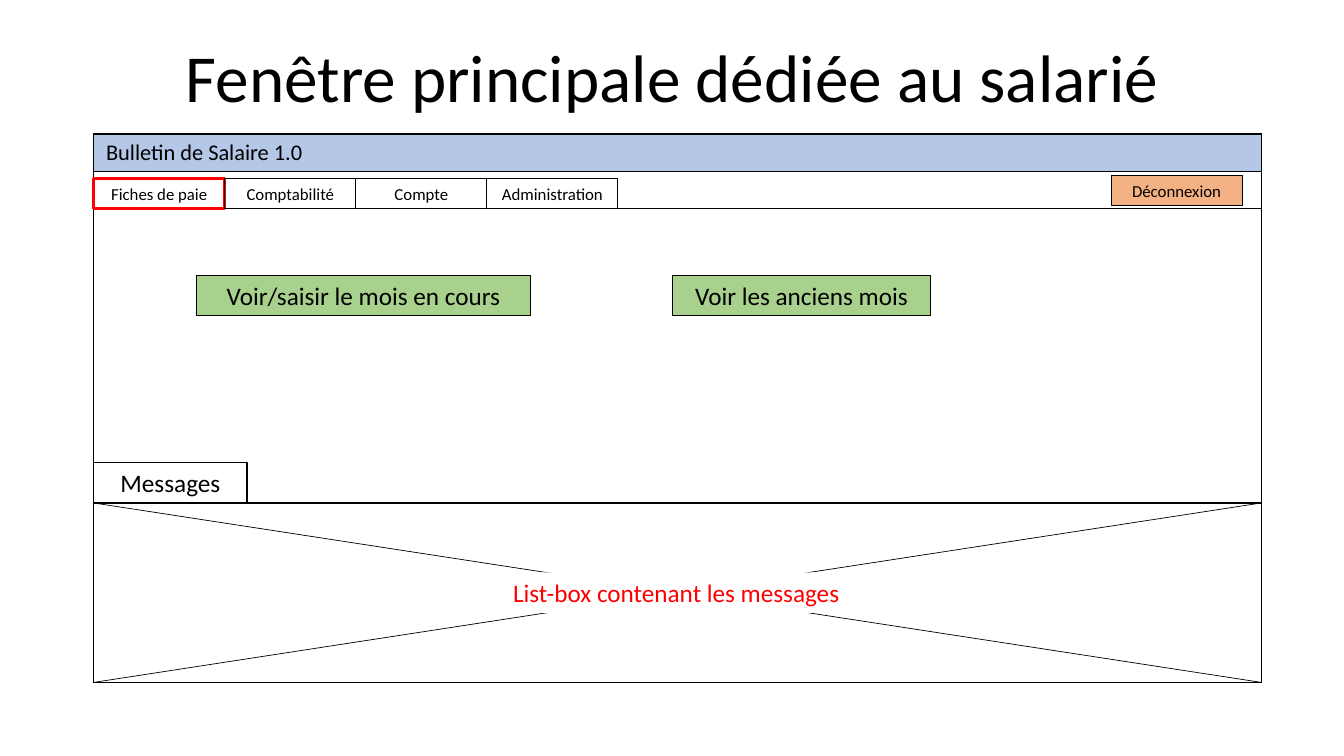
from dataclasses import dataclass
from typing import Optional

from lxml.etree import SubElement
from pptx import Presentation
from pptx.dml.color import RGBColor as Rgb
from pptx.enum.shapes import MSO_CONNECTOR as Link, MSO_SHAPE as Kind
from pptx.enum.text import MSO_ANCHOR as Anchor, MSO_AUTO_SIZE as Fit, PP_ALIGN as Align
from pptx.oxml.ns import qn
from pptx.util import Inches, Pt

COL = ROW = Inches(0.1)
LEFT, WIDTH = 9.3, 115.8
TOP, BASE = 13.3, 67.7
BODY, LIST = 20.7, 49.9
TAB, SMALL, TALL = 13, 3, 4
BLACK, RED, WHITE = "000000", "FF0000", "FFFFFF"
BLUE, ORANGE, GREEN = "B4C7E7", "F4B183", "A9D18E"


@dataclass
class Box:
    x: float
    y: float
    w: float
    h: float
    text: str = ""
    size: float = 18
    fill: Optional[str] = None
    line: Optional[str] = BLACK
    thick: float = 0.75
    ink: str = BLACK
    align: Align = Align.CENTER


@dataclass
class Label:
    x: float
    y: float
    w: float
    h: float
    text: str
    size: float


def tint(code: str) -> Rgb:
    return Rgb.from_string(code)


def area(item) -> tuple:
    return (round(item.x * COL), round(item.y * ROW),
            round(item.w * COL), round(item.h * ROW))


def write(frame, text: str, size: float, ink: str, align: Align):
    frame.word_wrap = True
    frame.text = text
    para = frame.paragraphs[0]
    para.alignment = align
    for run in para.runs:
        run.font.name = "Calibri"
        run.font.size = Pt(size)
        run.font.color.rgb = tint(ink)
    return para


def draw_box(slide, box: Box) -> None:
    shape = slide.shapes.add_shape(Kind.RECTANGLE, *area(box))
    shape.shadow.inherit = False
    if box.fill:
        shape.fill.solid()
        shape.fill.fore_color.rgb = tint(box.fill)
    else:
        shape.fill.background()
    if box.line:
        shape.line.color.rgb = tint(box.line)
        shape.line.width = Pt(box.thick)
    else:
        shape.line.fill.background()
    if box.text:
        frame = shape.text_frame
        write(frame, box.text, box.size, box.ink, box.align)
        frame.vertical_anchor = Anchor.TOP
        frame.auto_size = Fit.SHAPE_TO_FIT_TEXT


def draw_label(slide, label: Label) -> None:
    frame = slide.shapes.add_textbox(*area(label)).text_frame
    para = write(frame, label.text, label.size, BLACK, Align.CENTER)
    para.line_spacing = 0.8
    frame.vertical_anchor = Anchor.BOTTOM


def draw_cross(slide, x: float, y: float, w: float, h: float) -> None:
    for start, end in ((x, x + w), (x + w, x)):
        line = slide.shapes.add_connector(
            Link.STRAIGHT, round(start * COL), round(y * ROW),
            round(end * COL), round((y + h) * ROW))
        line.line.color.rgb = tint(BLACK)
        line.line.width = Pt(0.5)
        SubElement(line._element.spPr, qn("a:effectLst"))


def pane(top: float) -> Box:
    return Box(LEFT, top, WIDTH, BASE - top, thick=1)


def main() -> None:
    deck = Presentation()
    deck.slide_width, deck.slide_height = Inches(13.33), Inches(7.5)
    slide = deck.slides.add_slide(deck.slide_layouts[6])

    draw_box(slide, pane(TOP))
    draw_label(slide, Label(9.2, 4, 115, 7.9, "Fenêtre principale dédiée au salarié", 48))
    draw_box(slide, Box(LEFT, TOP, WIDTH, 3.7, fill=BLUE, thick=1))
    draw_box(slide, Box(110.2, 17.4, TAB, SMALL, "Déconnexion", 12, ORANGE))
    draw_label(slide, Label(LEFT, 13.5, 21.9, 3.3, "Bulletin de Salaire 1.0", 16))

    draw_box(slide, pane(BODY))
    draw_box(slide, Box(19.5, 27.3, 33.1, TALL, "Voir/saisir le mois en cours", fill=GREEN))
    draw_box(slide, Box(66.7, 27.3, 25.6, TALL, "Voir les anciens mois", fill=GREEN))

    draw_box(slide, pane(LIST))
    draw_box(slide, Box(LEFT, LIST - TALL, 15.2, TALL, "Messages"))

    tabs = ("Fiches de paie", "Comptabilité", "Compte", "Administration")
    for rank, name in enumerate(tabs):
        line, thick = (BLACK, 0.75) if rank else (RED, 2.25)
        draw_box(slide, Box(LEFT + rank * TAB, BODY - SMALL, TAB, SMALL,
                            name, 12, line=line, thick=thick))

    draw_cross(slide, LEFT, LIST, WIDTH, BASE - LIST)
    draw_box(slide, Box(49.9, 56.8, 34.5, TALL, "List-box contenant les messages",
                        fill=WHITE, line=None, ink=RED, align=Align.LEFT))
    deck.save("out.pptx")


if __name__ == "__main__":
    main()
